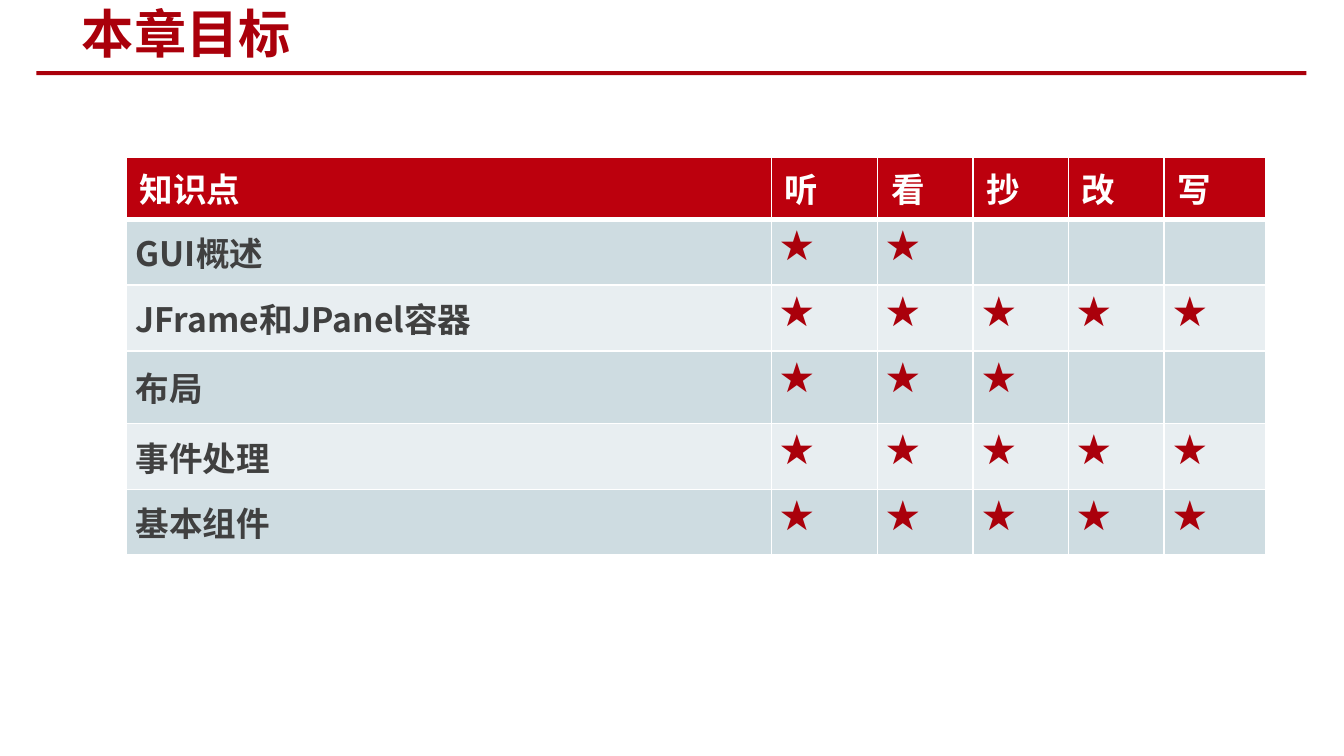
from dataclasses import dataclass

from lxml.etree import SubElement
from pptx import Presentation
from pptx.dml.color import RGBColor
from pptx.enum.shapes import MSO_SHAPE as Preset
from pptx.enum.text import MSO_ANCHOR as Anchor, MSO_AUTO_SIZE as AutoSize, PP_ALIGN as Align
from pptx.oxml.ns import qn
from pptx.util import Inches, Pt

WIDTH = 10
HEIGHT = WIDTH * 9 / 16
FONT = "Noto Sans CJK SC"
STAR = "★"
COLORS = {
    "red": "AA000B",
    "header": "BC000D",
    "dark_band": "CEDCE1",
    "light_band": "E8EEF1",
    "text": "404040",
    "white": "FFFFFF",
}


@dataclass(frozen=True)
class Topic:
    name: str
    stars: int
    height: float = 0.49


HEADINGS = ["知识点", "听", "看", "抄", "改", "写"]
COLUMN_WIDTHS = [4.8, 0.79, 0.71, 0.71, 0.71, 0.76]
HEADER_HEIGHT = 0.46
TOPICS = [
    Topic("GUI概述", 2),
    Topic("JFrame和JPanel容器", 5),
    Topic("布局", 3, height=0.54),
    Topic("事件处理", 5),
    Topic("基本组件", 5),
]


def rgb(name: str) -> RGBColor:
    return RGBColor.from_string(COLORS[name])


def write(frame, text: str, *, color: str, size: float = 18) -> None:
    """Put one bold, left-aligned line into a text frame."""
    para = frame.paragraphs[0]
    para.alignment = Align.LEFT
    span = para.add_run()
    span.text = text
    span.font.size = Pt(size)
    span.font.bold = True
    span.font.color.rgb = rgb(color)
    span.font.name = FONT
    SubElement(span._r.get_or_add_rPr(), qn("a:ea"), typeface=FONT)


def set_borders(cell, *, top: float = 1, bottom: float = 1) -> None:
    """Draw white cell borders, with widths in points."""
    properties = cell._tc.get_or_add_tcPr()
    for side, width in {"L": 1, "R": 1, "T": top, "B": bottom}.items():
        line = SubElement(properties, qn(f"a:ln{side}"), w=str(int(Pt(width))))
        fill = SubElement(line, qn("a:solidFill"))
        SubElement(fill, qn("a:srgbClr"), val=COLORS["white"])


def format_cell(cell, text: str, *, fill: str, color: str, anchor=Anchor.TOP,
                margins: tuple[float, float] = (0.07, 0),
                top: float = 1, bottom: float = 1) -> None:
    set_borders(cell, top=top, bottom=bottom)
    cell.fill.solid()
    cell.fill.fore_color.rgb = rgb(fill)
    cell.margin_left = cell.margin_right = Inches(margins[0])
    cell.margin_top = cell.margin_bottom = Inches(margins[1])
    cell.vertical_anchor = anchor
    if text:
        write(cell.text_frame, text, color=color)


def add_heading(page, text: str) -> None:
    title = page.shapes.title
    title.left, title.top = Inches(0.51), Inches(0.02)
    title.width, title.height = Inches(5.3), Inches(0.45)
    frame = title.text_frame
    frame.auto_size = AutoSize.NONE
    frame.vertical_anchor = Anchor.MIDDLE
    write(frame, text, color="red", size=28)

    # Rule under the title
    rule = page.shapes.add_shape(Preset.RECTANGLE, Inches(0.27), Inches(0.53),
                                 Inches(9.45), Inches(0.03))
    rule.shadow.inherit = False
    rule.fill.solid()
    rule.fill.fore_color.rgb = rgb("red")
    rule.line.fill.background()


def add_goal_table(page) -> None:
    heights = [HEADER_HEIGHT] + [topic.height for topic in TOPICS]
    table = page.shapes.add_table(
        len(heights), len(COLUMN_WIDTHS), Inches(0.94), Inches(1.17),
        Inches(sum(COLUMN_WIDTHS)), Inches(sum(heights))).table
    for column, width in zip(table.columns, COLUMN_WIDTHS):
        column.width = Inches(width)
    for row, height in zip(table.rows, heights):
        row.height = Inches(height)

    # Header row
    for index, heading in enumerate(HEADINGS):
        format_cell(table.cell(0, index), heading, fill="header", color="white",
                    margins=(0.1, 0.05), bottom=3)

    # Topics with their stars
    for number, topic in enumerate(TOPICS, start=1):
        band = "dark_band" if number % 2 else "light_band"
        top = 3 if number == 1 else 1
        format_cell(table.cell(number, 0), topic.name, fill=band, color="text",
                    anchor=Anchor.MIDDLE, top=top)
        for level in range(1, len(HEADINGS)):
            mark = STAR if level <= topic.stars else ""
            format_cell(table.cell(number, level), mark, fill=band, color="red", top=top)


def main() -> None:
    deck = Presentation()
    deck.slide_width, deck.slide_height = Inches(WIDTH), Inches(HEIGHT)
    title_only = deck.slide_layouts[5]
    page = deck.slides.add_slide(title_only)
    add_heading(page, "本章目标")
    add_goal_table(page)
    deck.save("out.pptx")


if __name__ == "__main__":
    main()
